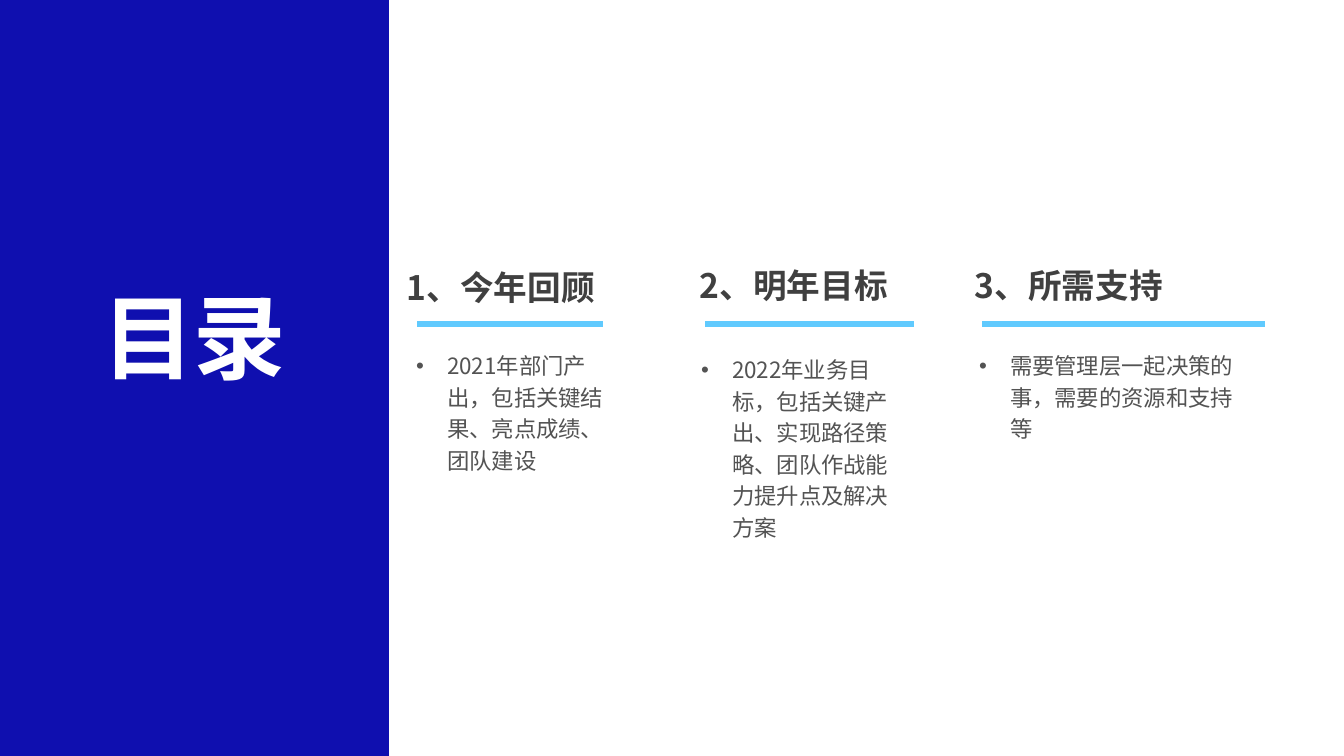
"""Build the contents slide: a blue title panel and three agenda columns."""
from lxml.etree import SubElement
from pptx import Presentation
from pptx.dml.color import RGBColor
from pptx.enum.shapes import MSO_CONNECTOR, MSO_SHAPE
from pptx.enum.text import MSO_ANCHOR, MSO_AUTO_SIZE, PP_ALIGN
from pptx.oxml.ns import qn
from pptx.util import Emu, Pt

PX = 914400 / 100.8
FONT = "Noto Sans CJK SC"
RULE_Y = 324
INDENT = 31
TITLE_FONT = {"size": Pt(66), "bold": True, "name": FONT}
HEADING_FONT = {"size": Pt(24), "bold": True, "name": FONT}
LIST_FONT = {"size": Pt(16), "bold": False, "name": FONT}
FRAME = {"word_wrap": True, "auto_size": MSO_AUTO_SIZE.NONE, "vertical_anchor": MSO_ANCHOR.TOP}
HEADING_PARAGRAPH = {"alignment": PP_ALIGN.LEFT}
LIST_PARAGRAPH = {"alignment": PP_ALIGN.LEFT, "line_spacing": 1.17, "space_before": Pt(0)}


def color(hex_string):
    """Turn a hex string into a colour."""
    return RGBColor.from_string(hex_string)


def write(shape, box, text, font, paragraph_format, hex_string):
    """Place a text shape, fill in its text and return the paragraph and run."""
    shape.left, shape.top, shape.width, shape.height = [Emu(round(v * PX)) for v in box]
    frame = shape.text_frame
    paragraph = frame.paragraphs[0]
    run = paragraph.add_run()
    run.text = text
    for target, values in ((frame, FRAME), (paragraph, paragraph_format), (run.font, font)):
        for name, value in values.items():
            setattr(target, name, value)
    run.font.color.rgb = color(hex_string)
    SubElement(run.font._element, qn("a:ea"), typeface=FONT)
    return paragraph, run


presentation = Presentation()
presentation.slide_width = Emu(round(1344 * PX))
presentation.slide_height = Emu(round(756 * PX))
slide = presentation.slides.add_slide(presentation.slide_layouts.get_by_name("Comparison"))
shapes = slide.shapes
title, spare, *lists = slide.placeholders
spare.element.getparent().remove(spare.element)

panel = shapes.add_shape(MSO_SHAPE.RECTANGLE, 0, 0, Emu(round(389 * PX)), Emu(round(758 * PX)))
panel.shadow.inherit = False
panel.fill.solid()
panel.fill.fore_color.rgb = color("0F0FAF")
panel.line.fill.background()
title.element.addprevious(panel.element)

paragraph, run = write(title, (92, 275, 206, 122), "目录", TITLE_FONT, HEADING_PARAGRAPH, "FFFFFF")
title.text_frame.word_wrap = False
run.font._element.set("spc", "-50")

columns = [
    ("1、今年回顾", (397, 262, 273, 70),
     "2021年部门产出，包括关键结果、亮点成绩、团队建设", (406, 343, 211, 163), (417, 603)),
    ("2、明年目标", (690, 260, 274, 81),
     "2022年业务目标，包括关键产出、实现路径策略、团队作战能力提升点及解决方案",
     (691, 347, 212, 188), (705, 914)),
    ("3、所需支持", (965, 260, 319, 70),
     "需要管理层一起决策的事，需要的资源和支持等", (969, 343, 278, 163), (982, 1265)),
]
for body, (heading, heading_box, text, text_box, rule) in zip(lists, columns):
    write(shapes.add_textbox(0, 0, 0, 0), heading_box, heading, HEADING_FONT,
          HEADING_PARAGRAPH, "404040")

    paragraph, run = write(body, text_box, text, LIST_FONT, LIST_PARAGRAPH, "535353")
    properties = paragraph._p.get_or_add_pPr()
    properties.set("marL", str(round(INDENT * PX)))
    properties.set("indent", str(round(-INDENT * PX)))
    SubElement(properties, qn("a:buFont"), typeface="Arial")
    SubElement(properties, qn("a:buChar"), char="•")

    start, end, y = [Emu(round(v * PX)) for v in (*rule, RULE_Y)]
    line = shapes.add_connector(MSO_CONNECTOR.STRAIGHT, end, y, start, y)
    line.line.color.rgb = color("60CAFE")
    line.line.width = Pt(4.5)
    SubElement(line.element.spPr, qn("a:effectLst"))

presentation.save("out.pptx")
